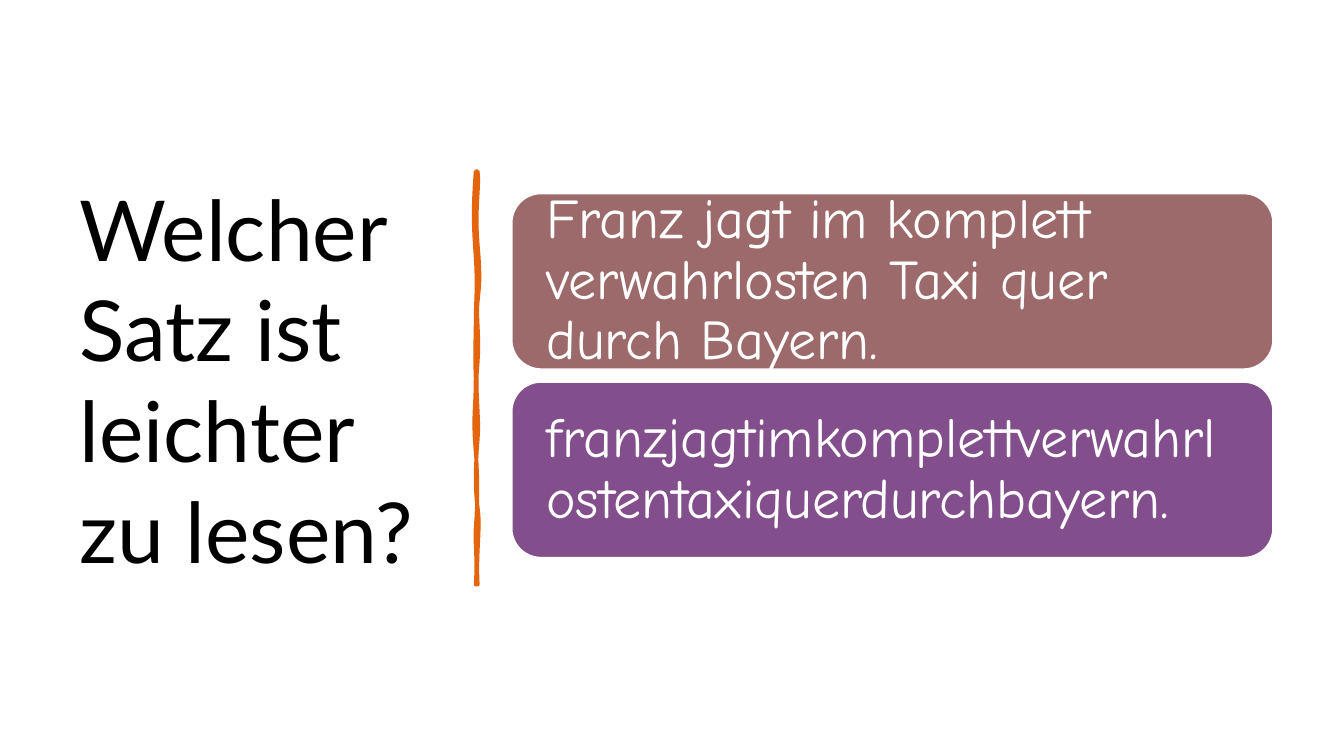
from dataclasses import dataclass

import pptx
import pptx.dml.color
import pptx.enum.shapes
import pptx.enum.text
import pptx.shapes.autoshape
import pptx.slide
import pptx.text.text
import pptx.util
from pptx.util import Cm


@dataclass(frozen=True)
class Theme:
    background: str = "FFFFFF"
    question: str = "000000"
    sentence: str = "FFFFFF"
    divider: str = "E4650E"
    spaced: str = "9C6A6A"
    unspaced: str = "824F8C"
    question_font: str = "Lato"
    sentence_font: str = "Comic Neue"
    question_size: int = 60
    sentence_size: int = 40


@dataclass(frozen=True)
class SentenceCard:
    sentence: str
    fill: str


@dataclass(frozen=True)
class Bend:
    """One Bézier piece of a divider edge, in cm; it ends on the edge at end_y."""
    x1: float
    y1: float
    x2: float
    y2: float
    end_y: float


THEME = Theme()
CARDS = (
    SentenceCard("Franz jagt im komplett verwahrlosten Taxi quer durch Bayern.", THEME.spaced),
    SentenceCard("franzjagtimkomplettverwahrlostentaxiquerdurchbayern.", THEME.unspaced),
)
CARD_LEFT, CARD_TOP, CARD_WIDTH, CARD_HEIGHT, CARD_PITCH = 12.9, 4.88, 19.18, 4.42, 4.75

DIVIDER_TOP, DIVIDER_BOTTOM = 4.32, 14.73
LEFT_EDGE, RIGHT_EDGE = 11.99, 12.04
RIGHT_BENDS = (
    Bend(12.09, 4.72, 11.96, 5.26, 6.17),
    Bend(12.12, 7.09, 12.07, 7.24, 7.59),
    Bend(11.99, 7.95, 12.09, 8.41, 9.12),
    Bend(11.96, 9.83, 12.09, 10.49, 11.07),
    Bend(11.99, 11.63, 11.96, 12.32, 12.8),
    Bend(12.12, 13.28, 11.99, 13.92, DIVIDER_BOTTOM),
)
LEFT_BENDS = (
    Bend(12.04, 14.07, 11.96, 13.61, 13.31),
    Bend(12.01, 13.03, 12.07, 12.27, 11.38),
    Bend(11.91, 10.49, 11.99, 10.31, 9.53),
    Bend(11.96, 8.76, 11.99, 8.66, 8.1),
    Bend(11.99, 7.57, 12.04, 7.24, 6.48),
    Bend(11.94, 5.74, 11.91, 5.38, DIVIDER_TOP),
)


def rgb(value: str) -> pptx.dml.color.RGBColor:
    return pptx.dml.color.RGBColor.from_string(value)


def write(frame: pptx.text.text.TextFrame, text: str, font: str, size: int,
          color: str, spacing: float) -> None:
    frame.word_wrap = True
    frame.auto_size = pptx.enum.text.MSO_AUTO_SIZE.NONE
    frame.vertical_anchor = pptx.enum.text.MSO_ANCHOR.MIDDLE
    paragraph = frame.paragraphs[0]
    paragraph.alignment = pptx.enum.text.PP_ALIGN.LEFT
    paragraph.line_spacing = spacing
    run = paragraph.add_run()
    run.text = text
    run.font.name = font
    run.font.size = pptx.util.Pt(size)
    run.font.color.rgb = rgb(color)


def paint(shape: pptx.shapes.autoshape.Shape, fill: str, line: str, width: float) -> None:
    shape.shadow.inherit = False
    shape.fill.solid()
    shape.fill.fore_color.rgb = rgb(fill)
    shape.line.color.rgb = rgb(line)
    shape.line.width = pptx.util.Pt(width)


def edge_points(edge_x: float, start_y: float, bends: tuple[Bend, ...],
                steps: int = 8) -> list[tuple[int, int]]:
    points = [(Cm(edge_x), Cm(start_y))]
    for bend in bends:
        for step in range(1, steps + 1):
            t = step / steps
            u = 1 - t
            ends, first, second = u**3, 3 * u * u * t, 3 * u * t * t
            x = (ends + t**3) * edge_x + first * bend.x1 + second * bend.x2
            y = ends * start_y + first * bend.y1 + second * bend.y2 + t**3 * bend.end_y
            points.append((Cm(x), Cm(y)))
        start_y = bend.end_y
    return points


def draw_divider(slide: pptx.slide.Slide) -> None:
    outline = (edge_points(RIGHT_EDGE, DIVIDER_TOP, RIGHT_BENDS)
               + edge_points(LEFT_EDGE, DIVIDER_BOTTOM, LEFT_BENDS))
    builder = slide.shapes.build_freeform(*outline[0])
    builder.add_line_segments(outline[1:], close=True)
    paint(builder.convert_to_shape(), THEME.divider, THEME.divider, 2.75)


def draw_card(slide: pptx.slide.Slide, card: SentenceCard, top: float) -> None:
    box = slide.shapes.add_shape(
        pptx.enum.shapes.MSO_SHAPE.ROUNDED_RECTANGLE,
        Cm(CARD_LEFT), Cm(top), Cm(CARD_WIDTH), Cm(CARD_HEIGHT))
    paint(box, card.fill, THEME.background, 1)
    frame = box.text_frame
    frame.margin_left = frame.margin_right = Cm(0.66)
    frame.margin_top = frame.margin_bottom = Cm(0)
    write(frame, card.sentence, THEME.sentence_font, THEME.sentence_size, THEME.sentence, 0.9)


def main() -> None:
    presentation = pptx.Presentation()
    presentation.slide_width, presentation.slide_height = Cm(33.87), Cm(19.05)
    slide = presentation.slides.add_slide(presentation.slide_layouts[5])
    slide.background.fill.solid()
    slide.background.fill.fore_color.rgb = rgb(THEME.background)

    # Question
    question = slide.shapes.title
    question.left, question.top = Cm(1.75), Cm(1.78)
    question.width, question.height = Cm(9.5), Cm(15.52)
    write(question.text_frame, "Welcher Satz ist leichter zu lesen?",
          THEME.question_font, THEME.question_size, THEME.question, 1.0)

    # Hand-drawn divider
    draw_divider(slide)

    # Sentences to compare
    for row, card in enumerate(CARDS):
        draw_card(slide, card, CARD_TOP + row * CARD_PITCH)

    presentation.save("out.pptx")


if __name__ == "__main__":
    main()
